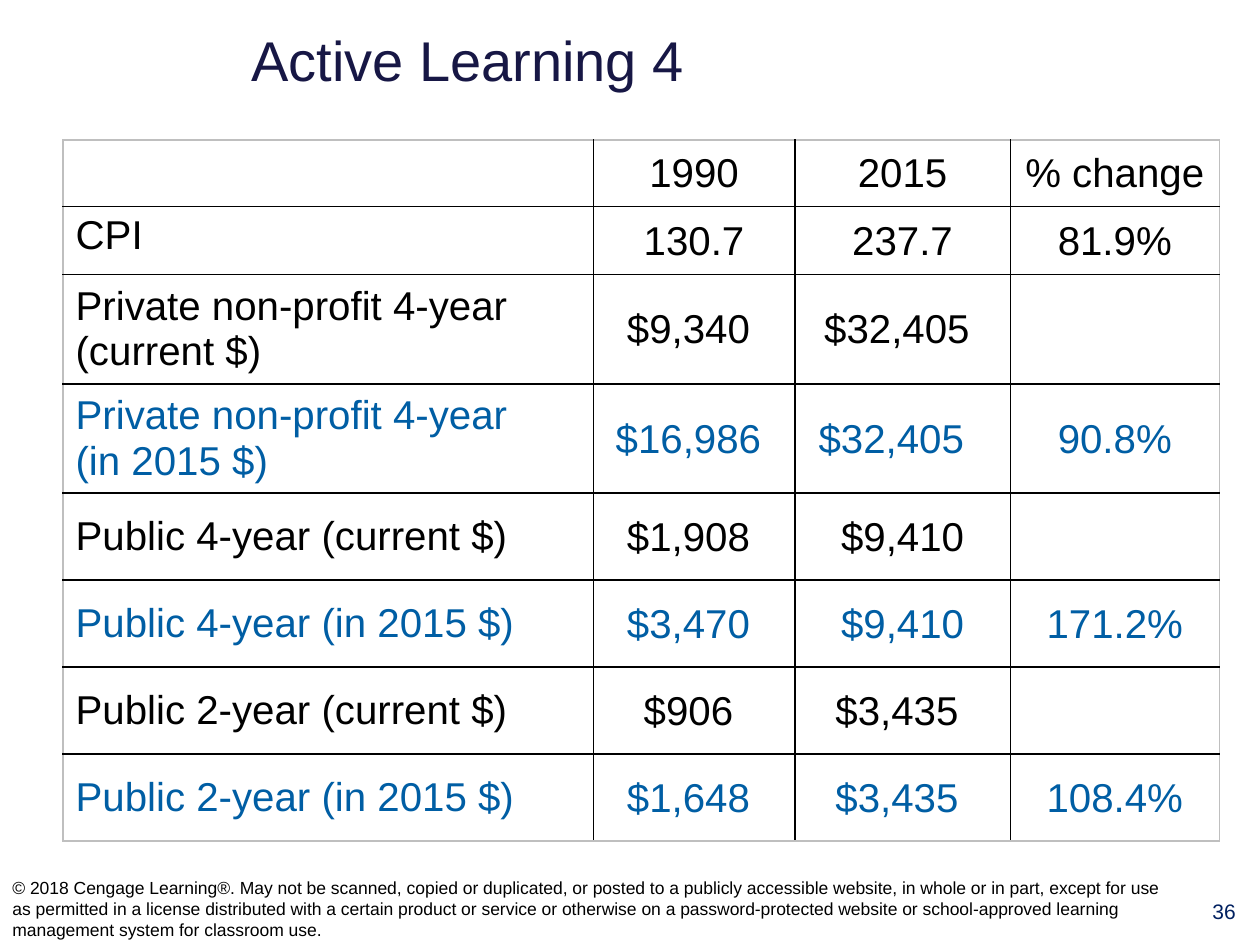
"""Build the Active Learning 4 slide comparing college costs in 1990 and 2015."""
from dataclasses import dataclass

import lxml.etree
import pptx
import pptx.dml.color
import pptx.enum.text
import pptx.oxml.ns
import pptx.util

Pt = pptx.util.Pt
Align = pptx.enum.text.PP_ALIGN
Anchor = pptx.enum.text.MSO_ANCHOR


@dataclass(frozen=True)
class Theme:
    """Colours and type sizes of the slide."""
    font: str = "Arial"
    title: str = "171745"
    number: str = "002060"
    ink: str = "000000"
    accent: str = "005EA4"
    paper: str = "FFFFFF"
    frame: str = "BFBFBF"
    title_size: float = 32
    table_size: float = 23
    number_size: float = 12
    legal_size: float = 10


@dataclass(frozen=True)
class CostRow:
    """One table row, with the spaces that shift its values left."""
    label: str
    values: tuple[str, str, str]
    shifts: tuple[int, int, int] = (0, 0, 0)
    height: float = 49.7
    accent: bool = False


THEME = Theme()
SPACE_WIDTH = 6.4
COLUMNS = (303.1, 115.2, 123.1, 119.5)
ROWS = (
    CostRow("", ("1990", "2015", "% change"), height=38.2),
    CostRow("CPI", ("130.7", "237.7", "81.9%"), height=38.9),
    CostRow("Private non-profit 4-year\v(current $)", ("$9,340", "$32,405", ""), (1, 1, 0)),
    CostRow("Private non-profit 4-year\v(in 2015 $)", ("$16,986", "$32,405", "90.8%"),
            (1, 2, 0), accent=True),
    CostRow("Public 4-year (current $)", ("$1,908", "$9,410", ""), (1, 0, 0)),
    CostRow("Public 4-year (in 2015 $)", ("$3,470", "$9,410", "171.2%"), (1, 0, 0), accent=True),
    CostRow("Public 2-year (current $)", ("$906", "$3,435", ""), (1, 1, 0)),
    CostRow("Public 2-year (in 2015 $)", ("$1,648", "$3,435", "108.4%"), (1, 1, 0), accent=True),
)
LEGAL = (
    "© 2018 Cengage Learning®. May not be scanned, copied or duplicated, or posted to a "
    "publicly accessible website, in whole or in part, except for use as permitted in a license "
    "distributed with a certain product or service or otherwise on a password-protected website "
    "or school-approved learning management system for classroom use."
)


def write(frame, text: str, size: float, color: str, align=Align.LEFT) -> None:
    """Put one formatted paragraph in a text frame."""
    frame.text = text
    para = frame.paragraphs[0]
    para.alignment = align
    para.font.name = THEME.font
    para.font.size = Pt(size)
    para.font.color.rgb = pptx.dml.color.RGBColor.from_string(color)


def add_text(page, bounds: tuple[float, ...], text: str, size: float, color: str,
             align=Align.LEFT, anchor=Anchor.TOP) -> None:
    """Add a wrapping text box."""
    box = page.shapes.add_textbox(*map(Pt, bounds))
    box.text_frame.word_wrap = True
    box.text_frame.vertical_anchor = anchor
    write(box.text_frame, text, size, color, align)


def add_borders(cell, edges: dict[str, bool]) -> None:
    """Draw cell borders, grey on the outer frame and black inside."""
    properties = cell._tc.get_or_add_tcPr()
    qn = pptx.oxml.ns.qn
    for position, (side, outer) in enumerate(edges.items()):
        line = lxml.etree.Element(qn(f"a:ln{side}"), w=str(Pt(1)))
        fill = lxml.etree.SubElement(line, qn("a:solidFill"))
        color = THEME.frame if outer else THEME.ink
        lxml.etree.SubElement(fill, qn("a:srgbClr"), val=color)
        properties.insert(position, line)


def add_cost_table(page) -> None:
    """Add the table of costs and price levels."""
    heights = [row.height for row in ROWS]
    table = page.shapes.add_table(len(ROWS), len(COLUMNS), Pt(36), Pt(79.9),
                                  Pt(sum(COLUMNS)), Pt(sum(heights))).table
    table.first_row = table.horz_banding = False
    for column, width in zip(table.columns, COLUMNS):
        column.width = Pt(width)
    for r, row in enumerate(ROWS):
        table.rows[r].height = Pt(row.height)
        color = THEME.accent if row.accent else THEME.ink
        for c, text in enumerate((row.label, *row.values)):
            cell = table.cell(r, c)
            write(cell.text_frame, text, THEME.table_size, color,
                  Align.CENTER if c else Align.LEFT)
            cell.vertical_anchor = Anchor.TOP if text == "CPI" else Anchor.MIDDLE
            if r and c and text:
                cell.margin_left = cell.margin_top = Pt(0.7)
                cell.margin_right = Pt(0.7 + SPACE_WIDTH * row.shifts[c - 1])
                cell.margin_bottom = Pt(0)
            cell.fill.solid()
            cell.fill.fore_color.rgb = pptx.dml.color.RGBColor.from_string(THEME.paper)
            add_borders(cell, {"L": c == 0, "R": c == len(COLUMNS) - 1,
                               "T": r == 0, "B": r == len(ROWS) - 1})


def add_title(page) -> None:
    """Place the title left of the slide's centre."""
    title = page.shapes.title
    title.left, title.top, title.width, title.height = map(Pt, (12.2, 7.9, 696.2, 51.8))
    title.text_frame.word_wrap = True
    title.text_frame.vertical_anchor = Anchor.MIDDLE
    title.text_frame.margin_right = Pt(193)
    write(title.text_frame, "Active Learning 4", THEME.title_size, THEME.title, Align.CENTER)


def main() -> None:
    """Build and save the deck."""
    deck = pptx.Presentation()
    deck.slide_width, deck.slide_height = Pt(720), Pt(540)
    page = deck.slides.add_slide(deck.slide_layouts[5])
    add_title(page)
    add_text(page, (679, 509.8, 41, 29.5), "36", THEME.number_size, THEME.number, Align.CENTER)
    add_text(page, (0, 498.2, 677.5, 41.8), LEGAL, THEME.legal_size, THEME.ink,
             anchor=Anchor.MIDDLE)
    add_cost_table(page)
    deck.save("out.pptx")


if __name__ == "__main__":
    main()
